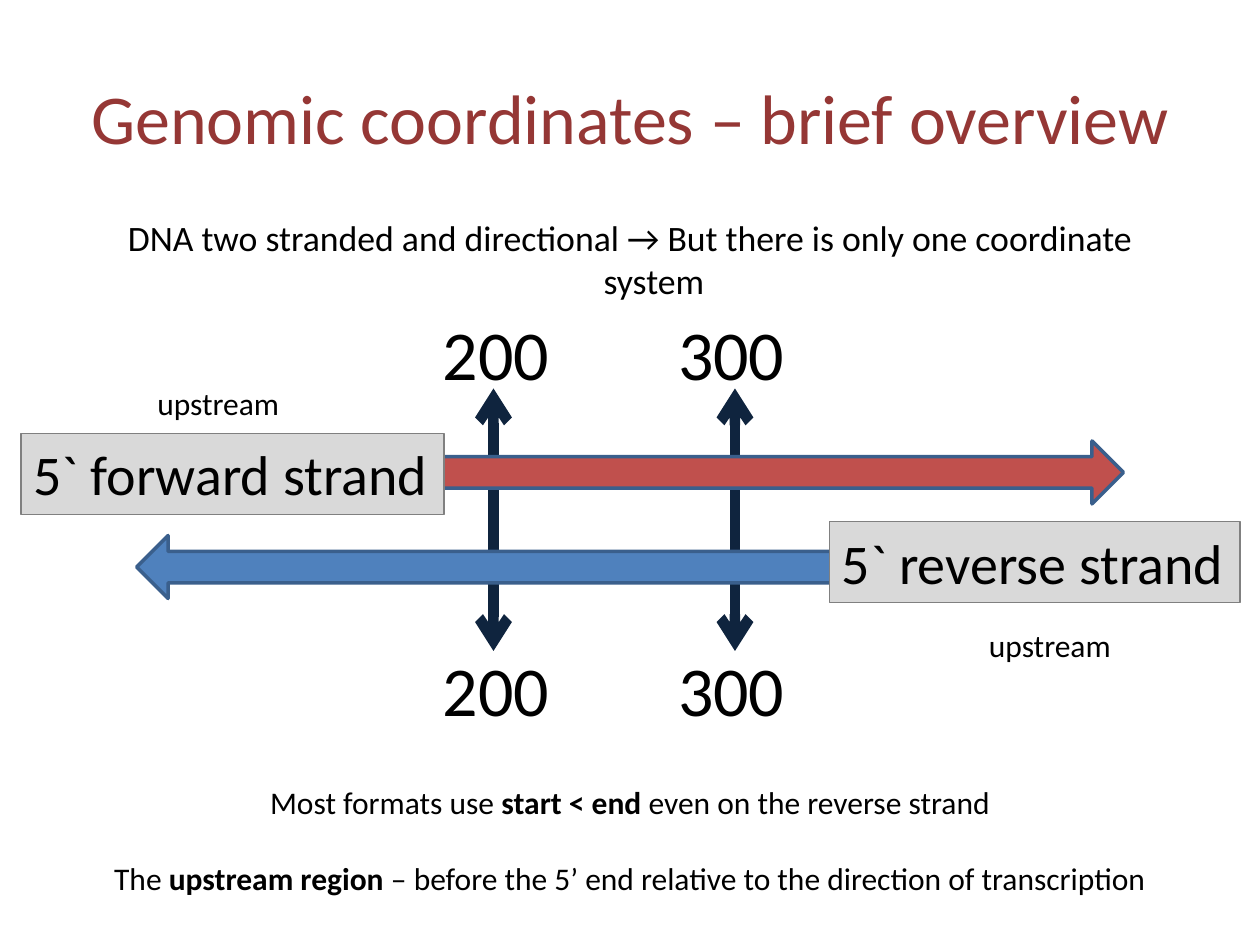
from lxml.etree import SubElement
from pptx import Presentation
from pptx.dml.color import RGBColor
from pptx.enum.shapes import MSO_CONNECTOR, MSO_SHAPE
from pptx.enum.text import MSO_ANCHOR, MSO_AUTO_SIZE, PP_ALIGN
from pptx.oxml.ns import qn
from pptx.util import Inches, Pt

COLORS = {
    "title": "953735", "text": "000000", "marker": "0F243E",
    "forward": "C0504D", "reverse": "4F81BD", "strand_line": "3A5F8C",
    "label_fill": "D9D9D9", "label_line": "808080",
}
FONT = "Calibri"
CELL = Inches(1) / 12  # the slide is a grid of 120 columns by 90 rows


def grid(*cells):
    return [round(cell * CELL) for cell in cells]


def color(name):
    return RGBColor.from_string(COLORS[name])


def add_run(paragraph, text, size, ink="text", bold=False):
    run = paragraph.add_run()
    run.text = text
    run.font.name, run.font.size, run.font.bold = FONT, Pt(size), bold
    run.font.color.rgb = color(ink)


def paint(shape, fill, line, width):
    shape.shadow.inherit = False
    shape.fill.solid()
    shape.fill.fore_color.rgb = color(fill)
    shape.line.color.rgb = color(line)
    shape.line.width = Pt(width)


def fit_frame(shape):
    frame = shape.text_frame
    frame.word_wrap = False
    frame.auto_size = MSO_AUTO_SIZE.SHAPE_TO_FIT_TEXT
    frame.vertical_anchor = MSO_ANCHOR.TOP
    return frame


def add_caption(slide, box, text, size):
    frame = fit_frame(slide.shapes.add_textbox(*grid(*box)))
    add_run(frame.paragraphs[0], text, size)


def add_title(slide, box):
    title = slide.shapes.title
    title.left, title.top, title.width, title.height = grid(*box)
    title.text_frame.vertical_anchor = MSO_ANCHOR.MIDDLE
    heading = title.text_frame.paragraphs[0]
    heading.alignment = PP_ALIGN.CENTER
    add_run(heading, "Genomic coordinates – brief overview", 40, "title")


def add_intro(slide, box):
    frame = slide.shapes.add_textbox(*grid(*box)).text_frame
    frame.word_wrap = True
    intro = frame.paragraphs[0]
    intro.alignment = PP_ALIGN.CENTER
    intro.space_before = Pt(4)
    hanging = intro._p.get_or_add_pPr()
    hanging.set("marL", str(Inches(0.38)))
    hanging.set("indent", str(-Inches(0.38)))
    add_run(intro, "DNA two stranded and directional → But there is only "
                   "one coordinate system", 20.4)


def add_marker(slide, x, top, bottom):
    marker = slide.shapes.add_connector(
        MSO_CONNECTOR.STRAIGHT, *grid(x, top, x, bottom))
    marker.line.color.rgb = color("marker")
    marker.line.width = Pt(6)
    line = marker.line._get_or_add_ln()
    for end in ("a:headEnd", "a:tailEnd"):
        SubElement(line, qn(end), type="arrow")
    SubElement(marker._element.spPr, qn("a:effectLst"))


def add_strand(slide, box, fill, rotation):
    strand = slide.shapes.add_shape(MSO_SHAPE.RIGHT_ARROW, *grid(*box))
    strand.rotation = rotation
    paint(strand, fill, "strand_line", 2)


def add_strand_label(slide, box, text):
    label = slide.shapes.add_shape(MSO_SHAPE.RECTANGLE, *grid(*box))
    paint(label, "label_fill", "label_line", 0.75)
    words = fit_frame(label).paragraphs[0]
    words.alignment = PP_ALIGN.LEFT
    add_run(words, text, 32)


def add_diagram(slide, left, top):
    # Coordinate markers lie behind the strands
    for x in (47, 70):
        add_marker(slide, left + x, top + 8, top + 33)

    # Strands, each pointing from its 5` end
    add_strand(slide, (left + 14, top + 13, 93, 6), "forward", 0)
    add_strand(slide, (left + 13, top + 22, 93, 6), "reverse", 180)
    add_strand_label(slide, (left + 79, top + 20.7, 39.1, 7.7),
                     "5` reverse strand")
    add_strand_label(slide, (left + 2, top + 12.3, 40.3, 7.7),
                     "5` forward strand")

    # The same coordinates above and below
    for y in (0, 32):
        for x, coordinate in ((41, "200"), (63.4, "300")):
            add_caption(slide, (left + x, top + y, 12.6, 9.2), coordinate, 40)

    # Upstream side of each strand
    for x, y in ((13.8, 7), (93, 30)):
        add_caption(slide, (left + x, top + y, 14.2, 4.8), "upstream", 18)


def add_remarks(slide, box):
    remarks = (
        (("Most formats use ", False), ("start < end", True),
         (" even on the reverse strand", False)),
        (("The ", False), ("upstream region ", True),
         ("– before the 5’ end relative to the direction of transcription",
          False)),
    )
    frame = fit_frame(slide.shapes.add_textbox(*grid(*box)))
    for index, parts in enumerate(remarks):
        remark = frame.add_paragraph() if index else frame.paragraphs[0]
        remark.alignment = PP_ALIGN.CENTER
        remark.space_before = Pt(22 * index)
        for text, bold in parts:
            add_run(remark, text, 18, bold=bold)


def main():
    deck = Presentation()
    deck.slide_width, deck.slide_height = grid(120, 90)
    slide = deck.slides.add_slide(deck.slide_layouts.get_by_name("Title Only"))
    add_title(slide, (6, 3.6, 108, 15))
    add_intro(slide, (6, 20, 108, 8))
    add_diagram(slide, 0, 29)
    add_remarks(slide, (9.2, 74, 101.6, 12.1))
    deck.save("out.pptx")


if __name__ == "__main__":
    main()
